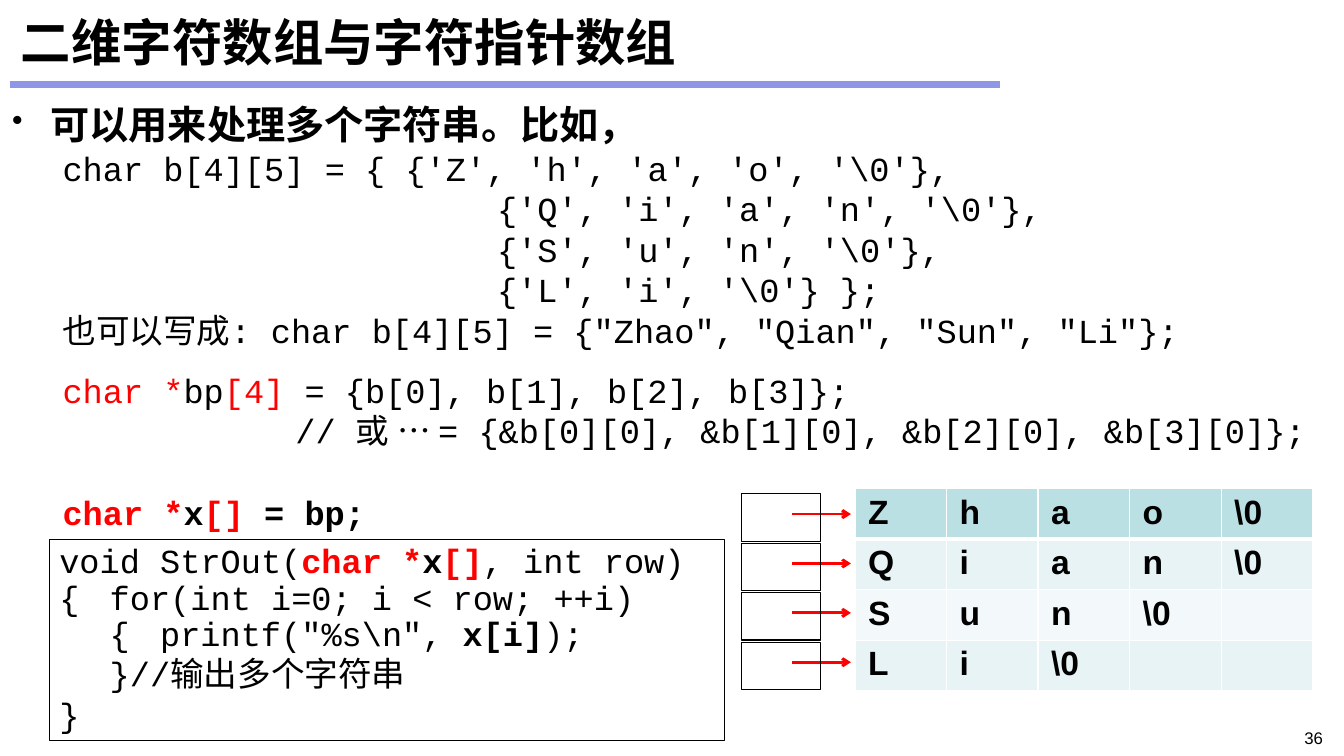
from lxml import etree
from pptx import Presentation
from pptx.dml.color import RGBColor
from pptx.enum.shapes import MSO_CONNECTOR, MSO_SHAPE
from pptx.enum.text import MSO_ANCHOR, PP_ALIGN
from pptx.oxml.ns import qn
from pptx.util import Inches, Pt

STRAIGHT = MSO_CONNECTOR.STRAIGHT
RECTANGLE = MSO_SHAPE.RECTANGLE
TOP, MIDDLE = MSO_ANCHOR.TOP, MSO_ANCHOR.MIDDLE
LEFT, RIGHT = PP_ALIGN.LEFT, PP_ALIGN.RIGHT

COLORS = {"black": "000000", "red": "FF0000", "white": "FFFFFF", "rule": "8D97E5",
          "header": "BBE0E3", "odd": "E7F3F4", "even": "F3F9FA"}
CODE_FONT, CHINESE_FONT, PLAIN_FONT = "Courier New", "Noto Sans CJK SC", "Arial"

TITLE = "二维字符数组与字符指针数组"
HEADING = "可以用来处理多个字符串。比如，"
RED = {"color": "red"}
BOLD = {"bold": True}
RED_BOLD = {"color": "red", "bold": True}
CODE_INDENT, COMMENT_INDENT, ROW_INDENT = 0.5, 2.81, 4.81
CODE_LINES = [
    (CODE_INDENT, 0, [("char b[4][5] = { {'Z', 'h', 'a', 'o', '\\0'},", {})]),
    (ROW_INDENT, 0, [("{'Q', 'i', 'a', 'n', '\\0'},", {})]),
    (ROW_INDENT, 0, [("{'S', 'u', 'n', '\\0'},", {})]),
    (ROW_INDENT, 0, [("{'L', 'i', '\\0'} };", {})]),
    (CODE_INDENT, 0, [('也可以写成: char b[4][5] = {"Zhao", "Qian", "Sun", "Li"};', {})]),
    (CODE_INDENT, 14, [("char *", RED), ("bp", {}), ("[4]", RED),
                       (" = {b[0], b[1], b[2], b[3]};", {})]),
    (COMMENT_INDENT, 0, [("// 或 … = {&b[0][0], &b[1][0], &b[2][0], &b[3][0]};", {})]),
    (CODE_INDENT, 29.5, [("char *", RED_BOLD), ("x", BOLD), ("[]", RED_BOLD),
                         (" = bp;", BOLD)]),
]
FUNCTION_LINES = [
    (26, [("void StrOut(", {}), ("char *", RED_BOLD), ("x", BOLD), ("[]", RED_BOLD),
          (", int row)", {})]),
    (26, [("{\tfor(int i=0; i < row; ++i)", {})]),
    (26, [('\t{\tprintf("%s\\n", ', {}), ("x[i]", BOLD), (");", {})]),
    (None, [("\t}//输出多个字符串", {})]),
    (None, [("}", {})]),
]
NAMES = [["Z", "h", "a", "o", "\\0"], ["Q", "i", "a", "n", "\\0"],
         ["S", "u", "n", "\\0", ""], ["L", "i", "\\0", "", ""]]
ROW_FILLS = ["header", "odd", "even", "odd"]


def rgb(name):
    """Return the named colour."""
    return RGBColor.from_string(COLORS[name])


def write(frame, runs, size=24, font=CODE_FONT, bold=False, align=LEFT,
          indent=0, hanging=0, before=0, spacing=None, bullet=None):
    """Write one paragraph of formatted runs into a text frame."""
    paragraph = frame.paragraphs[0]
    if paragraph.runs:
        paragraph = frame.add_paragraph()
    paragraph.alignment = align
    paragraph.space_before = Pt(before)
    if spacing:
        paragraph.line_spacing = Pt(spacing)
    properties = paragraph._p.get_or_add_pPr()
    properties.set("marL", str(Inches(indent)))
    properties.set("indent", str(-Inches(hanging)))
    if bullet:
        etree.SubElement(properties, qn("a:buSzPct"), val="80000")
        etree.SubElement(properties, qn("a:buChar"), char=bullet)
    for text, style in runs:
        run = paragraph.add_run()
        run.text = text
        run.font.size = Pt(size)
        run.font.bold = style.get("bold", bold)
        run.font.color.rgb = rgb(style.get("color", "black"))
        run.font.name = font
        etree.SubElement(run._r.get_or_add_rPr(), qn("a:ea"), typeface=CHINESE_FONT)


def set_frame(frame, anchor=TOP, side=0.1, edge=0.05):
    """Set wrapping, anchor and margins of a text frame."""
    frame.word_wrap = True
    frame.vertical_anchor = anchor
    frame.margin_left = frame.margin_right = Inches(side)
    frame.margin_top = frame.margin_bottom = Inches(edge)
    return frame


def add_box(slide, left, top, width, height, **layout):
    """Add a text box and return its frame."""
    box = slide.shapes.add_textbox(Inches(left), Inches(top), Inches(width), Inches(height))
    return set_frame(box.text_frame, **layout)


def add_outline(slide, left, top, width, height):
    """Add an unfilled rectangle with a thin black line."""
    shape = slide.shapes.add_shape(RECTANGLE, Inches(left), Inches(top),
                                   Inches(width), Inches(height))
    shape.shadow.inherit = False
    shape.fill.background()
    shape.line.color.rgb = rgb("black")
    shape.line.width = Pt(0.75)
    return shape


def add_line(slide, left, right, y, color, width, arrow=False):
    """Add a horizontal line, with an optional arrowhead."""
    line = slide.shapes.add_connector(STRAIGHT, Inches(left), Inches(y),
                                      Inches(right), Inches(y))
    line.line.color.rgb = rgb(color)
    line.line.width = Pt(width)
    properties = line._element.spPr
    if arrow:
        etree.SubElement(properties.find(qn("a:ln")), qn("a:tailEnd"), type="arrow")
    etree.SubElement(properties, qn("a:effectLst"))


def set_borders(cell, row):
    """Draw white cell borders, thicker below the first row."""
    properties = cell._tc.get_or_add_tcPr()
    widths = {"L": 1, "R": 1, "T": 3 if row == 1 else 1, "B": 3 if row == 0 else 1}
    for position, (side, width) in enumerate(widths.items()):
        border = etree.Element(qn(f"a:ln{side}"), w=str(Pt(width)))
        fill = etree.SubElement(border, qn("a:solidFill"))
        etree.SubElement(fill, qn("a:srgbClr"), val=COLORS["white"])
        properties.insert(position, border)


def add_names_table(slide, left, top, width, height):
    """Add the table of characters."""
    table = slide.shapes.add_table(len(NAMES), len(NAMES[0]), Inches(left), Inches(top),
                                   Inches(width), Inches(height)).table
    for row, letters in enumerate(NAMES):
        for column, letter in enumerate(letters):
            cell = table.cell(row, column)
            cell.fill.solid()
            cell.fill.fore_color.rgb = rgb(ROW_FILLS[row])
            cell.margin_left = cell.margin_right = Inches(0.13)
            set_borders(cell, row)
            if letter:
                write(cell.text_frame, [(letter, {})], font=PLAIN_FONT, bold=True)


def main():
    """Build the slide and save it."""
    presentation = Presentation()
    presentation.slide_width, presentation.slide_height = Inches(13.33), Inches(7.5)
    slide = presentation.slides.add_slide(presentation.slide_layouts[6])

    add_line(slide, 0.1, 9.92, 0.84, "rule", 4.5)
    title = add_box(slide, 0.11, 0.08, 13.11, 0.67, anchor=MIDDLE)
    write(title, [(TITLE, {})], size=36, font=CHINESE_FONT, bold=True)

    body = add_box(slide, 0.1, 0.94, 13.12, 6.51, side=0.02, edge=0.01)
    write(body, [(HEADING, {})], size=28, bold=True, indent=0.38, hanging=0.38,
          spacing=37, bullet="•")
    for indent, before, runs in CODE_LINES:
        write(body, runs, indent=indent, before=before, spacing=28.9)

    number = add_box(slide, 11.91, 7.17, 1.31, 0.25)
    write(number, [("36", {})], size=12, font=PLAIN_FONT, align=RIGHT)

    function = set_frame(add_outline(slide, 0.49, 5.35, 6.7, 2).text_frame)
    for spacing, runs in FUNCTION_LINES:
        write(function, runs, spacing=spacing)

    add_names_table(slide, 8.48, 4.85, 4.54, 2)
    for row in range(len(NAMES)):
        offset = 0.49 * row
        add_line(slide, 7.86, 8.44, 5.1 + offset, "red", 2, arrow=True)
        add_outline(slide, 7.35, 4.9 + offset, 0.79, 0.47)

    presentation.save("out.pptx")


if __name__ == "__main__":
    main()
